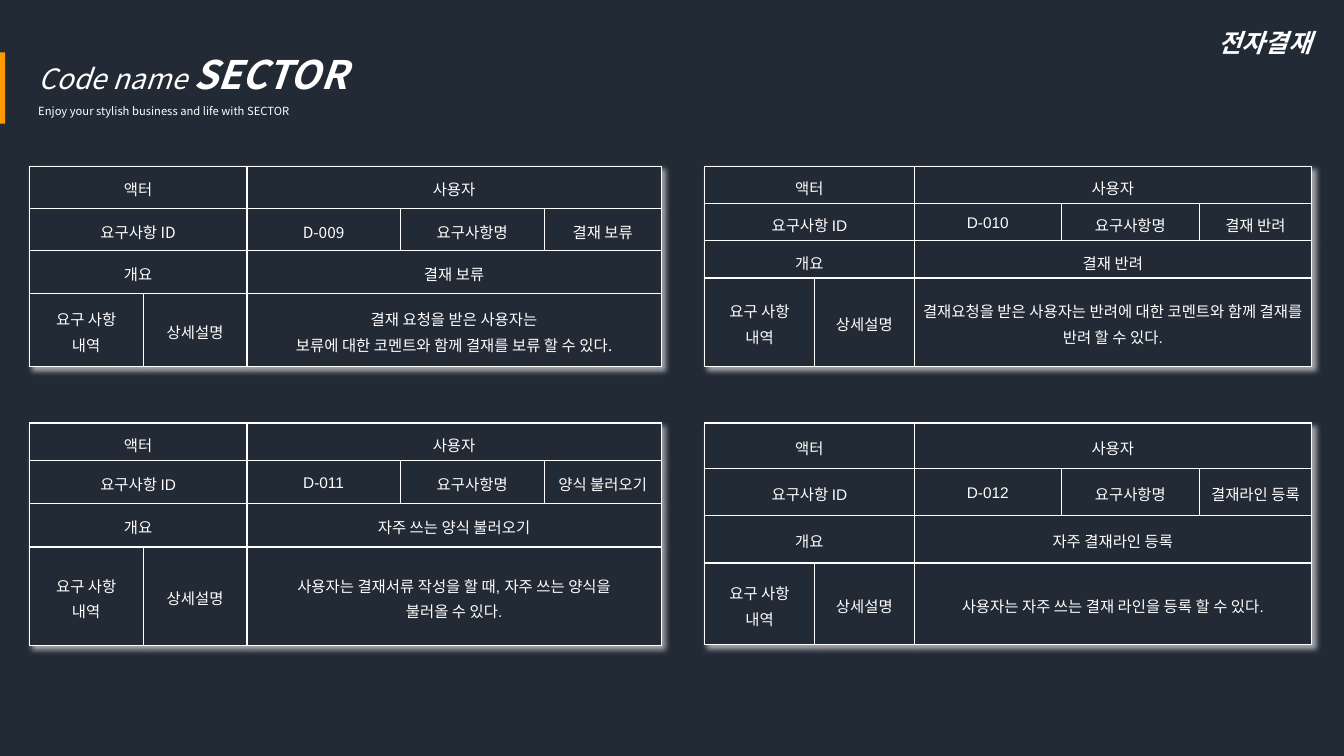
from lxml.etree import SubElement, fromstring
from pptx import Presentation
from pptx.dml.color import RGBColor
from pptx.enum.shapes import MSO_SHAPE as Shape
from pptx.enum.text import MSO_ANCHOR as Anchor, MSO_AUTO_SIZE as AutoSize, PP_ALIGN as Align
from pptx.oxml.ns import nsdecls, qn
from pptx.util import Pt


def color(value):
    return RGBColor.from_string(value)


def assign(target, values):
    for name, value in values.items():
        setattr(target, name, value)


class SlideBuilder:
    """Holds the slide and its style, and adds each kind of element."""

    background, ink, accent = "222A35", "FFFFFF", "FF9900"
    korean_font, cell_font = "Noto Sans CJK KR", "Arial"
    margins = dict.fromkeys(("margin_left", "margin_right", "margin_top", "margin_bottom"), Pt(5))

    def __init__(self, presentation):
        self.slide = presentation.slides.add_slide(presentation.slide_layouts[6])
        self.fill(self.slide.background, self.background)

    def fill(self, target, value):
        target.fill.solid()
        target.fill.fore_color.rgb = color(value)

    def run(self, paragraph, text, size, font=korean_font, **style):
        run = paragraph.add_run()
        run.text = text
        assign(run.font, {"size": Pt(size), "name": font, **style})
        run.font.color.rgb = color(self.ink)
        SubElement(run.font._element, qn("a:ea"), typeface=self.korean_font)

    def bar(self, *box):
        shape = self.slide.shapes.add_shape(Shape.RECTANGLE, *map(Pt, box))
        shape.shadow.inherit = False
        shape.line.fill.background()
        self.fill(shape, self.accent)

    def text(self, box, lines, wrap=True, spacing=1.0):
        frame = self.slide.shapes.add_textbox(*map(Pt, box)).text_frame
        assign(frame, {"word_wrap": wrap, "auto_size": AutoSize.SHAPE_TO_FIT_TEXT})
        for index, runs in enumerate(lines):
            paragraph = frame.add_paragraph() if index else frame.paragraphs[0]
            paragraph.line_spacing = spacing
            for content, size, style in runs:
                self.run(paragraph, content, size, **style)

    def shadow(self, table):
        table._tbl.tblPr.insert(0, fromstring(
            f'<a:effectLst {nsdecls("a")}><a:outerShdw blurRad="50800" dist="38100" dir="2700000" '
            f'algn="tl" rotWithShape="0"><a:srgbClr val="{self.ink}"><a:alpha val="60000"/>'
            '</a:srgbClr></a:outerShdw></a:effectLst>'))

    def borders(self, cell):
        properties = cell._tc.get_or_add_tcPr()
        for side in ("lnL", "lnR", "lnT", "lnB"):
            line = SubElement(properties, qn(f"a:{side}"), w=str(Pt(1)))
            SubElement(SubElement(line, qn("a:solidFill")), qn("a:srgbClr"), val=self.ink)

    def cell(self, cell, text, font):
        assign(cell, {"vertical_anchor": Anchor.MIDDLE, **self.margins})
        for index, line in enumerate(text.split("\n")):
            frame = cell.text_frame
            paragraph = frame.add_paragraph() if index else frame.paragraphs[0]
            assign(paragraph, {"alignment": Align.CENTER, "line_spacing": 1.15})
            self.run(paragraph, line, 11, font)

    def requirement(self, left, top, widths, heights, code, name, summary, detail, font=cell_font):
        frame = self.slide.shapes.add_table(
            len(heights), len(widths), Pt(left), Pt(top), Pt(sum(widths)), Pt(sum(heights)))
        table = frame.table
        assign(table, {"first_row": False, "horz_banding": False})
        self.shadow(table)
        for column, width in zip(table.columns, widths):
            column.width = Pt(width)
        for row, height in zip(table.rows, heights):
            row.height = Pt(height)
        for cell in table.iter_cells():
            self.borders(cell)
            self.fill(cell, self.background)
        rows = [
            {(0, 1): "액터", (2, 4): "사용자"},
            {(0, 1): "요구사항 ID", (2, 2): code, (3, 3): "요구사항명", (4, 4): name},
            {(0, 1): "개요", (2, 4): summary},
            {(0, 0): "요구 사항\n내역", (1, 1): "상세설명", (2, 4): detail},
        ]
        for row, spans in enumerate(rows):
            for (first, last), text in spans.items():
                cell = table.cell(row, first)
                if last > first:
                    cell.merge(table.cell(row, last))
                self.cell(cell, text, font)


presentation = Presentation()
assign(presentation, {"slide_width": Pt(960), "slide_height": Pt(540)})
builder = SlideBuilder(presentation)

builder.bar(0, 37.4, 3.6, 51)
builder.text((20.2, 15.8, 434, 72.7), [
    [("Code name ", 20, {"italic": True}), ("SECTOR", 28, {"italic": True, "bold": True})],
    [("Enjoy your stylish business and life with SECTOR", 8, {})],
], spacing=1.5)

left_widths = (81.4, 74.2, 109.4, 103, 83.5)
right_widths = (78.5, 71.3, 105.1, 98.6, 80)
left, right, top, bottom = 20.9, 503.3, 118.8, 302.2

builder.requirement(
    right, top, right_widths, (26.6, 26.6, 26.6, 63.4), "D-010", "결재 반려", "결재 반려",
    "결재요청을 받은 사용자는 반려에 대한 코멘트와 함께 결재를 반려 할 수 있다.")
builder.requirement(
    left, bottom, left_widths, (26.6, 31, 31, 70.6), "D-011", "양식 불러오기", "자주 쓰는 양식 불러오기",
    "사용자는 결재서류 작성을 할 때, 자주 쓰는 양식을\n불러올 수 있다.")
builder.requirement(
    right, bottom, right_widths, (32.4, 33.8, 33.8, 58.3), "D-012", "결재라인 등록", "자주 결재라인 등록",
    "사용자는 자주 쓰는 결재 라인을 등록 할 수 있다.")
builder.requirement(
    left, top, left_widths, (30.2, 30.2, 30.2, 52.6), "D-009", "결재 보류", "결재 보류",
    "결재 요청을 받은 사용자는\n보류에 대한 코멘트와 함께 결재를 보류 할 수 있다.",
    font=builder.korean_font)

builder.text((863.3, 15.8, 87.1, 28.8),
             [[("전자결재", 18, {"bold": True, "italic": True})]], wrap=False)

presentation.save("out.pptx")
